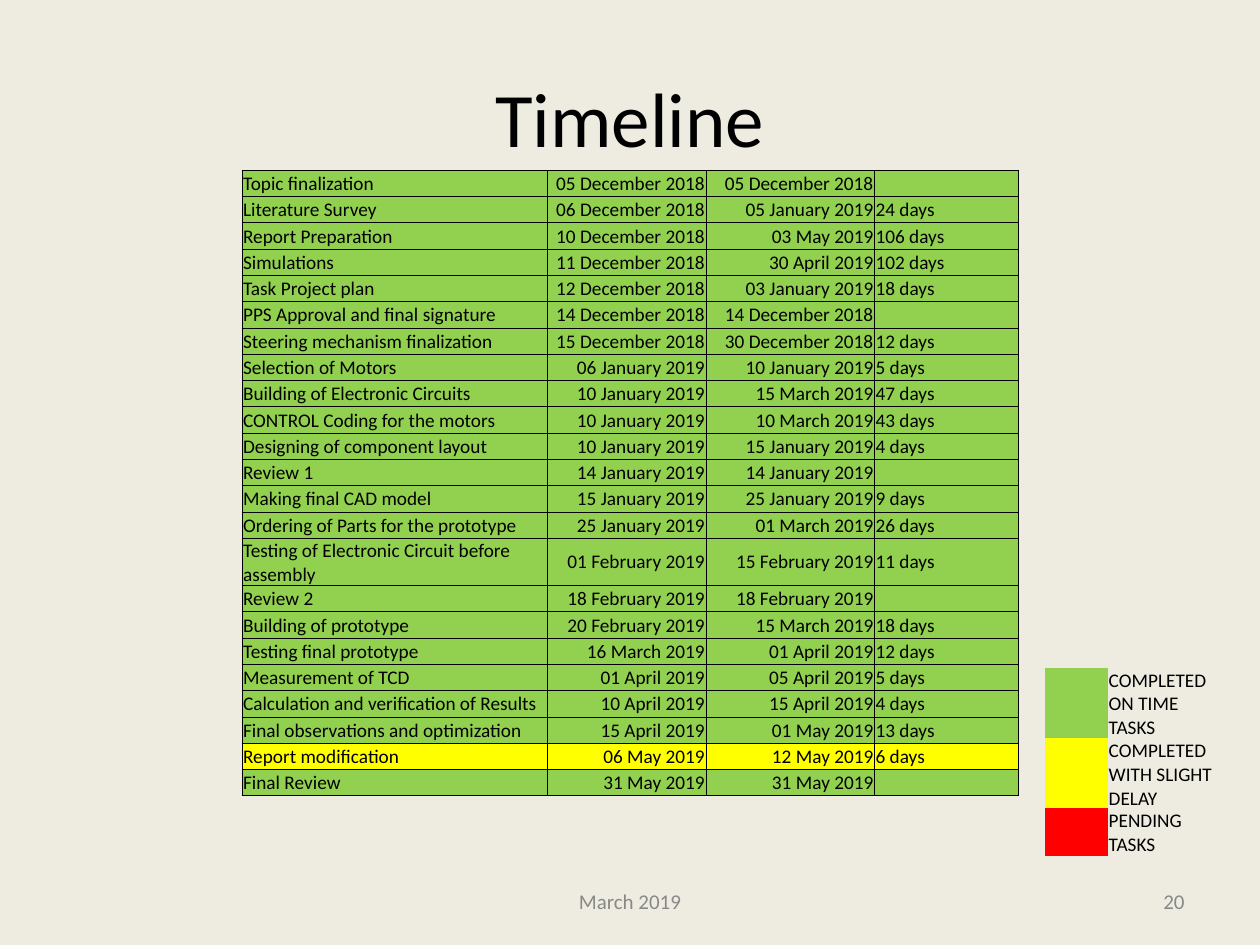
from lxml.etree import SubElement
from pptx import Presentation
from pptx.dml.color import RGBColor
from pptx.enum.text import MSO_ANCHOR, PP_ALIGN
from pptx.oxml.ns import qn
from pptx.util import Cm, Pt

# Content
HEADING = "Timeline"
FOOTER_DATE = "March 2019"
PAGE_NUMBER = "20"
TASKS = [  # task, start, finish, duration
    ("Topic finalization", "05 December 2018", "05 December 2018", ""),
    ("Literature Survey", "06 December 2018", "05 January 2019", "24 days"),
    ("Report Preparation", "10 December 2018", "03 May 2019", "106 days"),
    ("Simulations", "11 December 2018", "30 April 2019", "102 days"),
    ("Task Project plan", "12 December 2018", "03 January 2019", "18 days"),
    ("PPS Approval and final signature", "14 December 2018", "14 December 2018", ""),
    ("Steering mechanism finalization", "15 December 2018", "30 December 2018", "12 days"),
    ("Selection of Motors", "06 January 2019", "10 January 2019", "5 days"),
    ("Building of Electronic Circuits", "10 January 2019", "15 March 2019", "47 days"),
    ("CONTROL Coding for the motors", "10 January 2019", "10 March 2019", "43 days"),
    ("Designing of component layout", "10 January 2019", "15 January 2019", "4 days"),
    ("Review 1", "14 January 2019", "14 January 2019", ""),
    ("Making final CAD model", "15 January 2019", "25 January 2019", "9 days"),
    ("Ordering of Parts for the prototype", "25 January 2019", "01 March 2019", "26 days"),
    ("Testing of Electronic Circuit before assembly", "01 February 2019", "15 February 2019", "11 days"),
    ("Review 2", "18 February 2019", "18 February 2019", ""),
    ("Building of prototype", "20 February 2019", "15 March 2019", "18 days"),
    ("Testing final prototype", "16 March 2019", "01 April 2019", "12 days"),
    ("Measurement of TCD", "01 April 2019", "05 April 2019", "5 days"),
    ("Calculation and verification of Results", "10 April 2019", "15 April 2019", "4 days"),
    ("Final observations and optimization", "15 April 2019", "01 May 2019", "13 days"),
    ("Report modification", "06 May 2019", "12 May 2019", "6 days"),
    ("Final Review", "31 May 2019", "31 May 2019", ""),
]
DELAYED = {"Report modification"}
LEGEND = [  # status, label, row height in cm
    ("on time", "COMPLETED ON TIME TASKS", 1.2),
    ("delayed", "COMPLETED WITH SLIGHT DELAY", 1.2),
    ("pending", "PENDING TASKS", 0.66),
]

THEME = {
    "font": "Calibri",
    "background": "EEECE1", "ink": "000000", "muted": "888888",
    "on time": "92D050", "delayed": "FFFF00", "pending": "FF0000",
    "heading size": 44, "table size": 11, "footer size": 12,
}
TASK_COLUMNS = [6.15, 3.2, 3.4, 2.9]
TASK_ALIGN = [PP_ALIGN.LEFT, PP_ALIGN.RIGHT, PP_ALIGN.RIGHT, PP_ALIGN.LEFT]
TASK_ROW = 0.53
LEGEND_COLUMNS = [1.27, 2.44]
PLAIN_TABLE_STYLE = "{2D5ABB26-0587-4C30-8999-92F81FD0307C}"


def color(name):
    return RGBColor.from_string(THEME[name])


def write(paragraph, text, size, ink="ink", align=PP_ALIGN.LEFT):
    paragraph.text = text
    paragraph.alignment = align
    paragraph.font.name = THEME["font"]
    paragraph.font.size = Pt(THEME[size])
    paragraph.font.color.rgb = color(ink)
    if not text:  # an empty cell must not force a taller row
        SubElement(paragraph._p, qn("a:endParaRPr"), sz=str(THEME[size] * 100))


def add_label(slide, text, box, size, ink, align):
    frame = slide.shapes.add_textbox(*map(Cm, box)).text_frame
    frame.word_wrap = True
    frame.vertical_anchor = MSO_ANCHOR.MIDDLE
    write(frame.paragraphs[0], text, size, ink, align)


def add_plain_table(slide, left, top, columns, rows):
    table = slide.shapes.add_table(
        len(rows), len(columns), Cm(left), Cm(top), Cm(sum(columns)), Cm(sum(rows))).table
    table.first_row = table.horz_banding = False
    table._tbl.tblPr.find(qn("a:tableStyleId")).text = PLAIN_TABLE_STYLE
    for column, width in zip(table.columns, columns):
        column.width = Cm(width)
    for row, height in zip(table.rows, rows):
        row.height = Cm(height)
    return table


def fill_cell(cell, text, fill=None, align=PP_ALIGN.LEFT, anchor=MSO_ANCHOR.MIDDLE):
    cell.margin_left = cell.margin_right = cell.margin_top = Cm(0.02)
    cell.margin_bottom = 0
    cell.vertical_anchor = anchor
    if fill:
        cell.fill.solid()
        cell.fill.fore_color.rgb = color(fill)
    else:
        cell.fill.background()
    write(cell.text_frame.paragraphs[0], text, "table size", align=align)


def add_borders(cell):
    properties = cell._tc.get_or_add_tcPr()
    for side in ("a:lnL", "a:lnR", "a:lnT", "a:lnB"):
        line = SubElement(properties, qn(side), w=str(Pt(0.5)))
        solid = SubElement(line, qn("a:solidFill"))
        SubElement(solid, qn("a:srgbClr"), val=THEME["ink"])


def main():
    deck = Presentation()
    deck.slide_width, deck.slide_height = Cm(25.4), Cm(19.05)
    slide = deck.slides.add_slide(deck.slide_layouts[6])
    slide.background.fill.solid()
    slide.background.fill.fore_color.rgb = color("background")

    # Heading
    add_label(slide, HEADING, (1.27, 0.76, 22.86, 3.18), "heading size", "ink", PP_ALIGN.CENTER)

    # Task table, coloured by status
    timeline = add_plain_table(slide, 4.88, 3.43, TASK_COLUMNS, [TASK_ROW] * len(TASKS))
    for r, task in enumerate(TASKS):
        status = "delayed" if task[0] in DELAYED else "on time"
        for c, (entry, align) in enumerate(zip(task, TASK_ALIGN)):
            cell = timeline.cell(r, c)
            add_borders(cell)
            fill_cell(cell, entry, status, align)

    # Legend
    legend = add_plain_table(slide, 21.06, 13.46, LEGEND_COLUMNS, [row[2] for row in LEGEND])
    for r, (status, label, _) in enumerate(LEGEND):
        fill_cell(legend.cell(r, 0), "", status)
        fill_cell(legend.cell(r, 1), label, anchor=MSO_ANCHOR.BOTTOM)

    # Footer
    add_label(slide, FOOTER_DATE, (8.68, 17.65, 8.04, 1.02), "footer size", "muted", PP_ALIGN.CENTER)
    add_label(slide, PAGE_NUMBER, (18.2, 17.65, 5.93, 1.02), "footer size", "muted", PP_ALIGN.RIGHT)

    deck.save("out.pptx")


if __name__ == "__main__":
    main()
